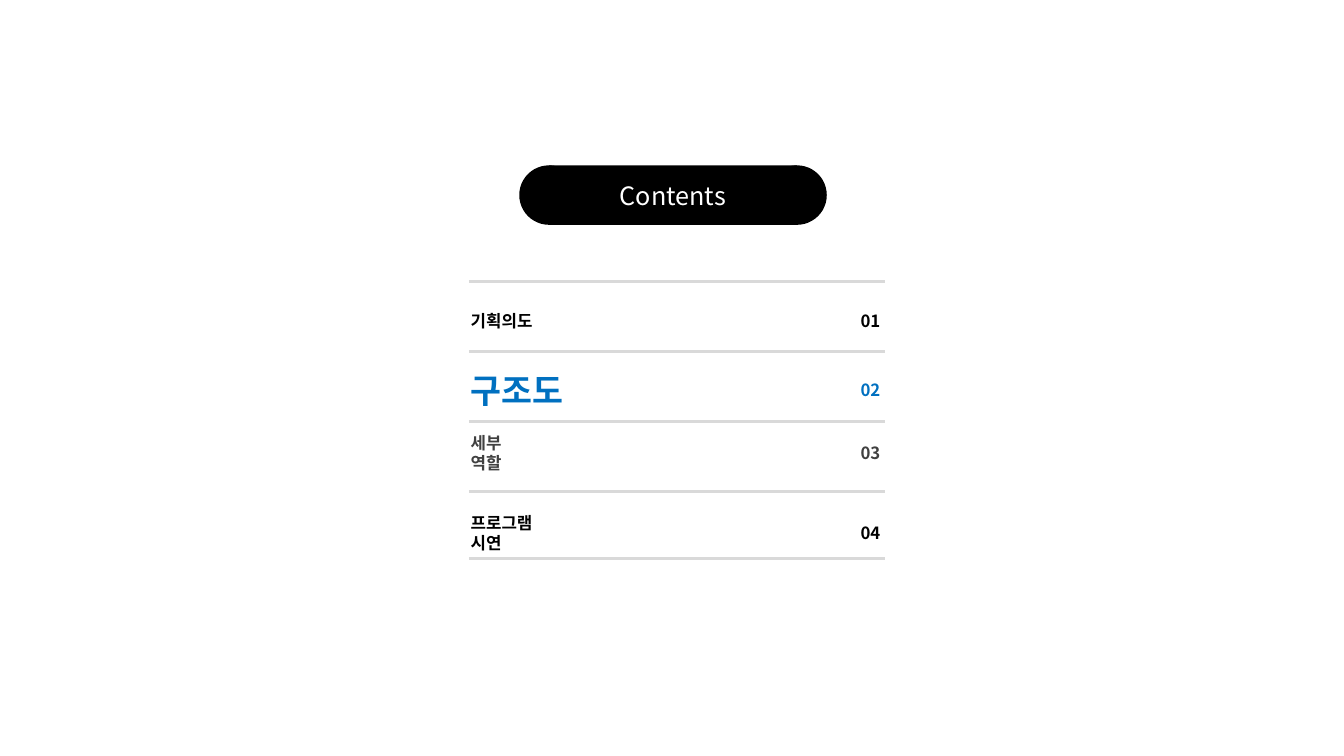
from pptx import Presentation
from pptx.dml.color import RGBColor
from pptx.enum.shapes import MSO_CONNECTOR, MSO_SHAPE
from pptx.enum.text import MSO_ANCHOR, PP_ALIGN
from pptx.oxml import parse_xml
from pptx.oxml.ns import nsdecls
from pptx.util import Inches, Pt

FONT = "Noto Sans CJK KR"
BLACK, WHITE, BLUE, GRAY, RULE = "000000", "FFFFFF", "0070C0", "404040", "D9D9D9"
TITLE = "Contents"
ENTRIES = [
    {"label": "기획의도", "number": "01", "middle": 3.18, "width": 0.81, "size": 12, "color": BLACK, "wrap": False},
    {"label": "구조도", "number": "02", "middle": 3.87, "width": 1.12, "size": 24, "color": BLUE, "wrap": False},
    {"label": "세부 역할", "number": "03", "middle": 4.49, "width": 0.83, "size": 12, "color": GRAY, "wrap": True},
    {"label": "프로그램 시연", "number": "04", "middle": 5.29, "width": 1.14, "size": 12, "color": BLACK, "wrap": True},
]
RULE_LEFT, RULE_RIGHT = 4.65, 8.78
RULE_TOPS = [2.79, 3.49, 4.18, 4.88, 5.54]
LABEL_LEFT, NUMBER_LEFT, NUMBER_WIDTH = 4.57, 8.42, 0.41
PILL_LEFT, PILL_TOP, PILL_WIDTH, PILL_HEIGHT = 5.15, 1.64, 3.05, 0.59


def rgb(value):
    return RGBColor.from_string(value)


def write(shape, text, size, color, align, bold=False, wrap=False):
    frame = shape.text_frame
    frame.word_wrap = wrap
    frame.vertical_anchor = MSO_ANCHOR.MIDDLE
    paragraph = frame.paragraphs[0]
    paragraph.alignment = align
    run = paragraph.add_run()
    run.text = text
    for name, value in {"name": FONT, "size": Pt(size), "bold": bold}.items():
        setattr(run.font, name, value)
    run.font.color.rgb = rgb(color)
    run.font._element.append(parse_xml(f'<a:ea {nsdecls("a")} typeface="{FONT}"/>'))


def add_pill(slide):
    group = slide.shapes.add_group_shape()
    radius = PILL_HEIGHT / 2
    parts = [
        (MSO_SHAPE.OVAL, PILL_LEFT, PILL_HEIGHT),
        (MSO_SHAPE.OVAL, PILL_LEFT + PILL_WIDTH - PILL_HEIGHT, PILL_HEIGHT),
        (MSO_SHAPE.RECTANGLE, PILL_LEFT + radius, PILL_WIDTH - PILL_HEIGHT),
    ]
    for kind, left, width in parts:
        shape = group.shapes.add_shape(
            kind, Inches(left), Inches(PILL_TOP), Inches(width), Inches(PILL_HEIGHT))
        shape.shadow.inherit = False
        shape.fill.solid()
        shape.fill.fore_color.rgb = rgb(BLACK)
        shape.line.fill.background()
    write(shape, TITLE, 18, WHITE, PP_ALIGN.CENTER)


def add_rule(slide, top):
    rule = slide.shapes.add_connector(
        MSO_CONNECTOR.STRAIGHT, Inches(RULE_LEFT), Inches(top), Inches(RULE_RIGHT), Inches(top))
    rule.line.color.rgb = rgb(RULE)
    rule.line.width = Pt(2.25)
    rule._element.spPr.append(parse_xml(f'<a:effectLst {nsdecls("a")}/>'))


def add_text(slide, text, left, middle, width, size, color, align, wrap=False):
    height = 0.5 if size > 12 else 0.3
    box = slide.shapes.add_textbox(
        Inches(left), Inches(middle - height / 2), Inches(width), Inches(height))
    write(box, text, size, color, align, True, wrap)


def main():
    presentation = Presentation()
    presentation.slide_width, presentation.slide_height = Inches(13.33), Inches(7.5)
    slide = presentation.slides.add_slide(presentation.slide_layouts[6])
    add_pill(slide)
    for top in RULE_TOPS:
        add_rule(slide, top)
    for entry in ENTRIES:
        middle, color = entry["middle"], entry["color"]
        add_text(slide, entry["label"], LABEL_LEFT, middle, entry["width"],
                 entry["size"], color, PP_ALIGN.LEFT, entry["wrap"])
        add_text(slide, entry["number"], NUMBER_LEFT, middle, NUMBER_WIDTH,
                 12, color, PP_ALIGN.RIGHT)
    presentation.save("out.pptx")


if __name__ == "__main__":
    main()
